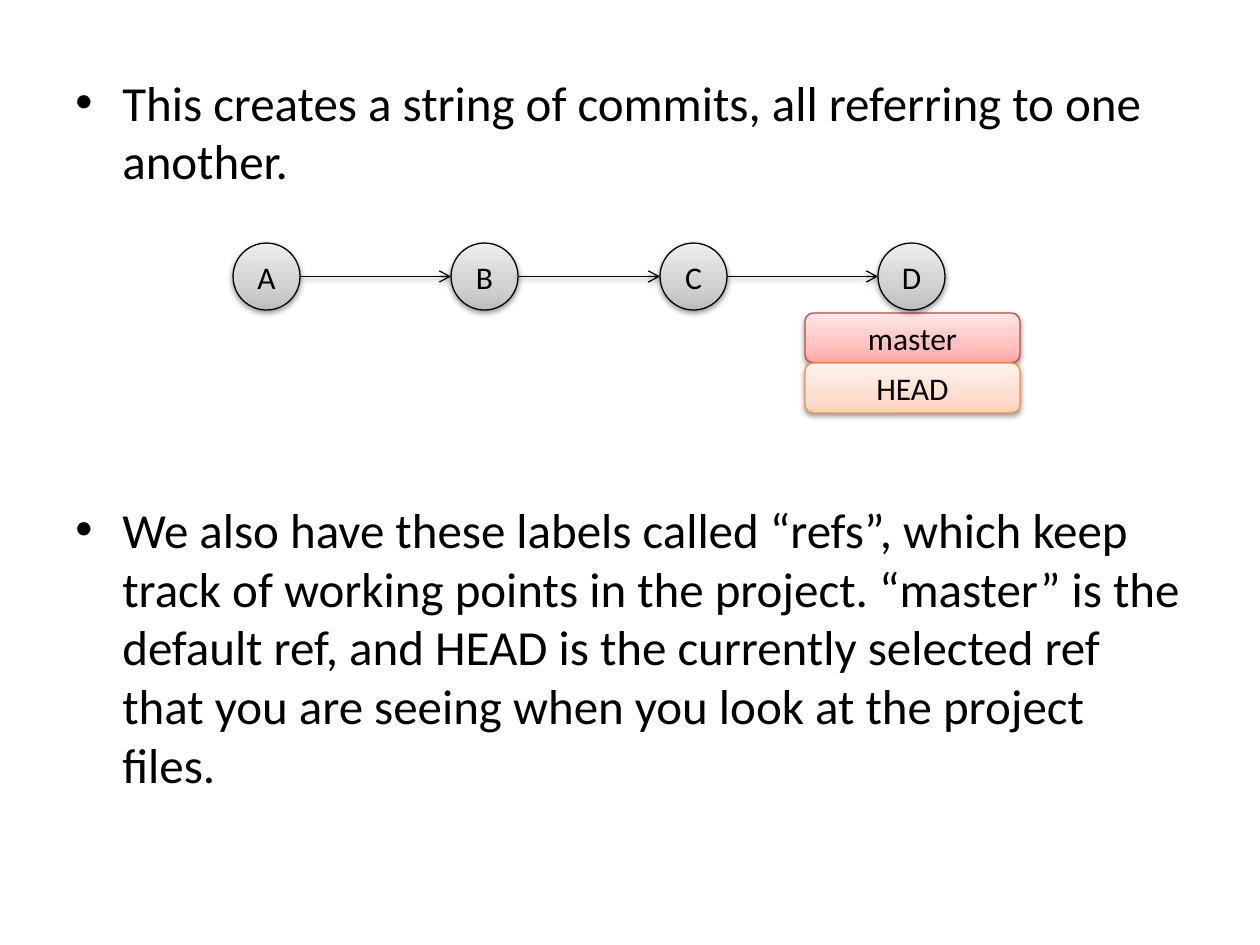
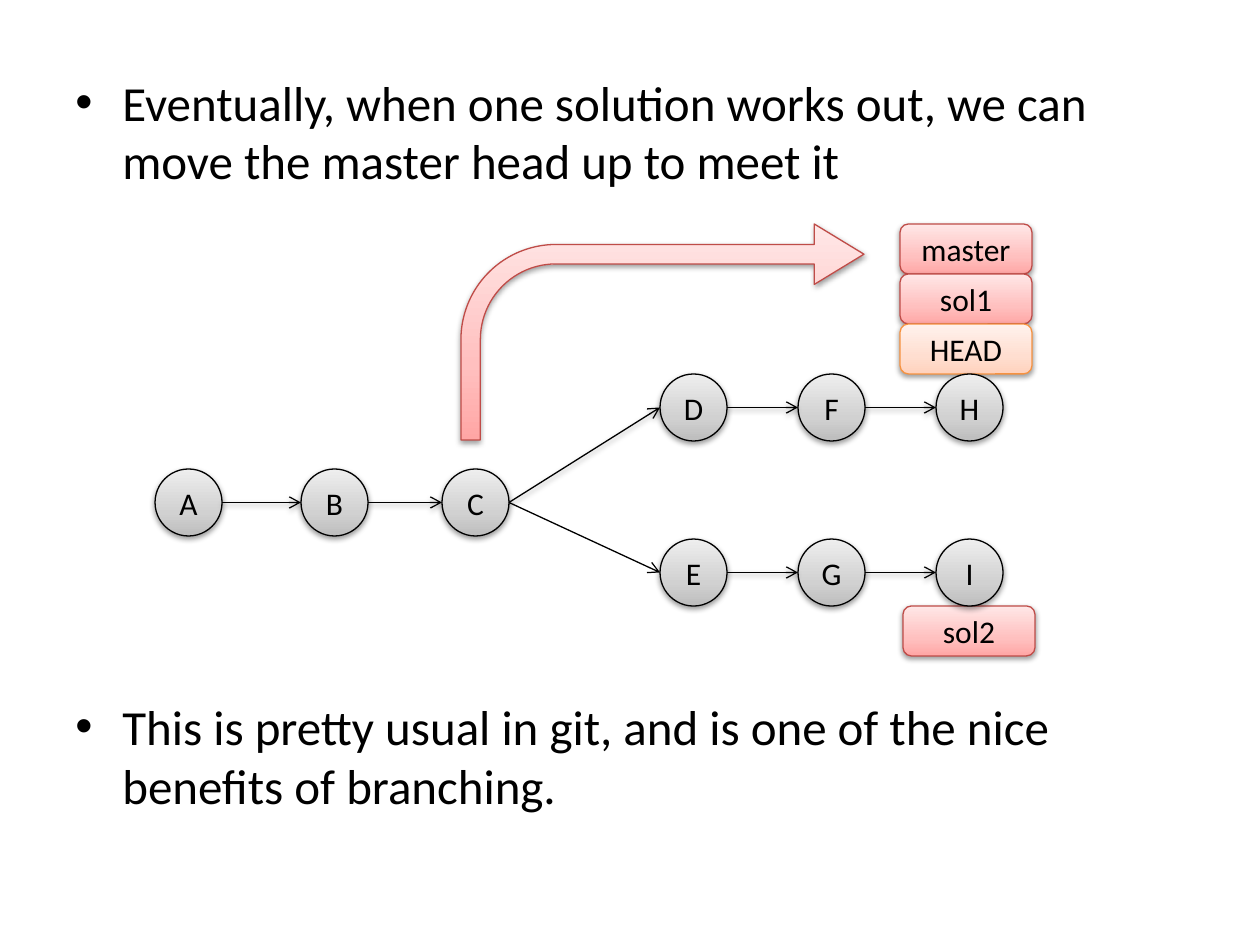
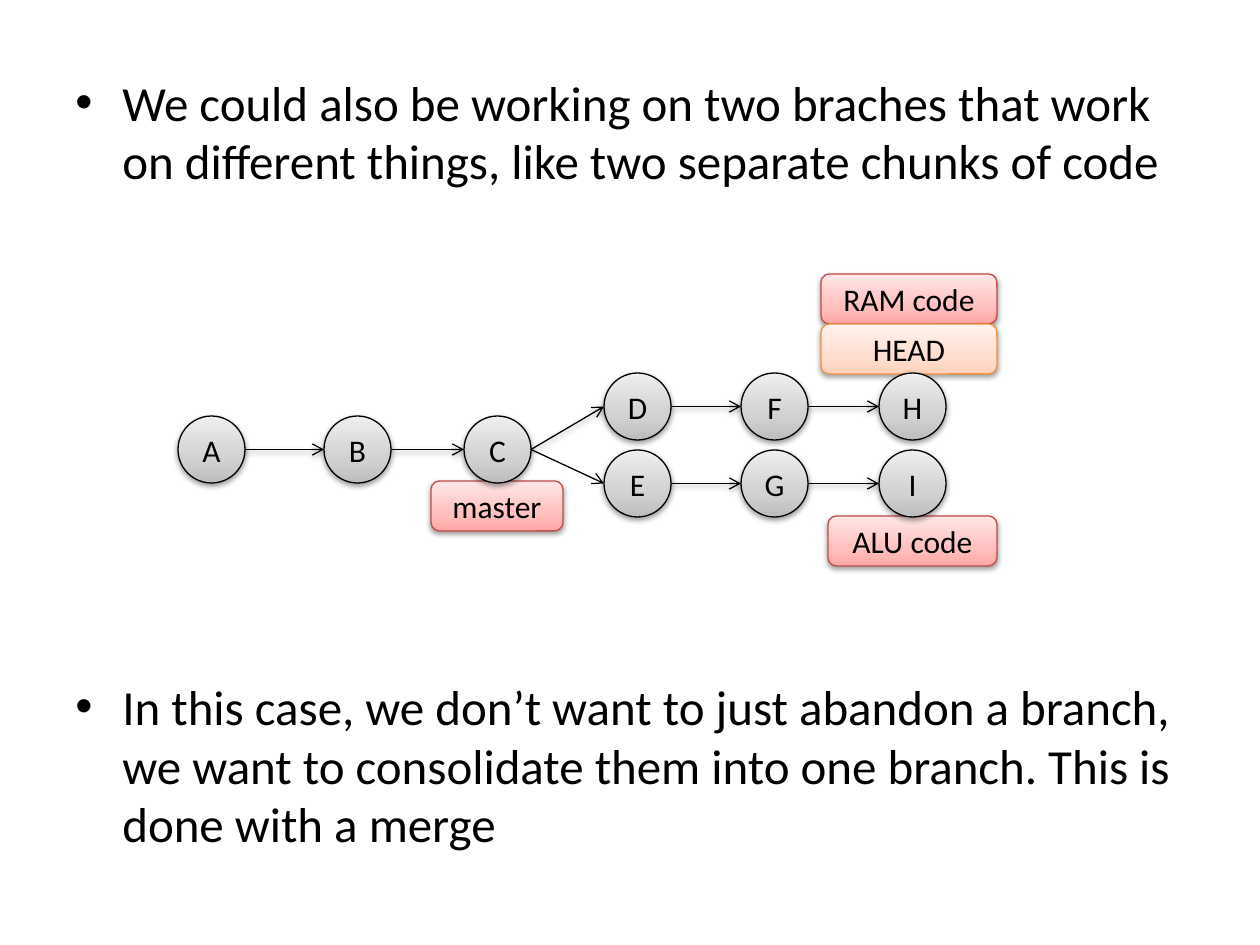
from copy import deepcopy
from dataclasses import dataclass
from itertools import pairwise

from lxml import etree
from pptx import Presentation
from pptx.dml.color import RGBColor
from pptx.enum.shapes import MSO_CONNECTOR, MSO_SHAPE
from pptx.enum.text import MSO_ANCHOR, PP_ALIGN
from pptx.oxml.ns import qn
from pptx.util import Emu, Pt

STRAIGHT = MSO_CONNECTOR.STRAIGHT
ELLIPSE = MSO_SHAPE.OVAL
ROUNDED = MSO_SHAPE.ROUNDED_RECTANGLE
BENT_ARROW = MSO_SHAPE.BENT_ARROW
MIDDLE = MSO_ANCHOR.MIDDLE
CENTER = PP_ALIGN.CENTER

PX_PER_INCH = 126
FONT = "Calibri"
BODY_SIZE = 28
LABEL_SIZE = 18
LINE_WIDTH = Pt(0.75)
NODE_SIZE = 67
REF_HEIGHT = 50
TEXT_LEFT, TEXT_TOP, TEXT_WIDTH, TEXT_HEIGHT = 63, 66, 1134, 139
BULLET_INDENT = 47
STOP_POSITIONS = (0, 0.35, 1)

COLORS = {
    "ink": "000000",
    "commit_dark": "BDBDBD",
    "commit_mid": "D1D1D1",
    "commit_light": "EEEEEE",
    "commit_line": "000000",
    "ref_dark": "FFA6A5",
    "ref_mid": "FFC0BF",
    "ref_light": "FFE7E7",
    "ref_line": "BF4C48",
    "head_dark": "FFD2BD",
    "head_mid": "FFDED0",
    "head_light": "FFF2ED",
    "head_line": "F69240",
}


@dataclass(frozen=True)
class Bullet:
    text: str
    top: int = TEXT_TOP
    height: int = TEXT_HEIGHT


@dataclass(frozen=True)
class Branch:
    commits: str
    lefts: tuple[int, ...]
    top: int

    @property
    def middle(self) -> float:
        return self.top + NODE_SIZE / 2


@dataclass(frozen=True)
class RefStack:
    names: tuple[str, ...]
    left: int
    top: int
    width: int = 132


@dataclass(frozen=True)
class Move:
    left: int
    top: int
    width: int
    height: int
    adjustments: tuple[float, ...]


@dataclass(frozen=True)
class GitPage:
    intro: Bullet
    outro: Bullet
    trunk: Branch
    refs: tuple[RefStack, ...]
    forks: tuple[Branch, ...] = ()
    moves: tuple[Move, ...] = ()


PAGES = (
    GitPage(
        intro=Bullet("This creates a string of commits, all referring to one another."),
        outro=Bullet(
            "We also have these labels called “refs”, which keep track of working "
            "points in the project. “master” is the default ref, and HEAD is the "
            "currently selected ref that you are seeing when you look at the "
            "project files.",
            493,
            387,
        ),
        trunk=Branch("ABCD", (233, 451, 660, 878), 243),
        refs=(RefStack(("master", "HEAD"), 805, 313, 215),),
    ),
    GitPage(
        intro=Bullet(
            "Eventually, when one solution works out, we can move the master head "
            "up to meet it"
        ),
        outro=Bullet(
            "This is pretty usual in git, and is one of the nice benefits of branching.",
            690,
            218,
        ),
        trunk=Branch("ABC", (155, 301, 442), 469),
        forks=(
            Branch("DFH", (660, 798, 936), 374),
            Branch("EGI", (660, 798, 936), 539),
        ),
        refs=(
            RefStack(("master", "sol1", "HEAD"), 900, 224),
            RefStack(("sol2",), 903, 606),
        ),
        moves=(Move(461, 224, 403, 216, (0.09, 0.14, 0.23, 0.44)),),
    ),
    GitPage(
        intro=Bullet(
            "We could also be working on two braches that work on different things, "
            "like two separate chunks of code"
        ),
        outro=Bullet(
            "In this case, we don’t want to just abandon a branch, we want to "
            "consolidate them into one branch. This is done with a merge",
            670,
            218,
        ),
        trunk=Branch("ABC", (178, 324, 464), 416),
        forks=(
            Branch("DFH", (604, 741, 879), 373),
            Branch("EGI", (604, 741, 879), 450),
        ),
        refs=(
            RefStack(("RAM code", "HEAD"), 821, 274, 176),
            RefStack(("ALU code",), 828, 516, 169),
            RefStack(("master",), 431, 481),
        ),
    ),
)


def px(length: float) -> Emu:
    return Emu(round(length * 914400 / PX_PER_INCH))


def rgb(name: str) -> RGBColor:
    return RGBColor.from_string(COLORS[name])


def add_span(para, text: str, size: int) -> None:
    span = para.add_run()
    span.text = text
    span.font.name = FONT
    span.font.size = Pt(size)
    span.font.color.rgb = rgb("ink")


def set_line(shape, color: str) -> None:
    shape.line.color.rgb = rgb(color)
    shape.line.width = LINE_WIDTH


def add_shadow(effects) -> None:
    shadow = etree.SubElement(
        effects, qn("a:outerShdw"), blurRad="40000", dist="20000",
        dir="5400000", rotWithShape="0",
    )
    color = etree.SubElement(shadow, qn("a:srgbClr"), val=COLORS["ink"])
    etree.SubElement(color, qn("a:alpha"), val="38000")


def add_solid(page, kind, bounds: tuple[int, ...], theme: str, text: str = ""):
    shape = page.shapes.add_shape(kind, *map(px, bounds))
    shape.fill.gradient()
    shape.fill.gradient_angle = 90
    stops = shape._element.spPr.find(f".//{qn('a:gsLst')}")
    stops.append(deepcopy(stops[0]))
    for stop, position, tone in zip(
        shape.fill.gradient_stops, STOP_POSITIONS, ("dark", "mid", "light")
    ):
        stop.position = position
        stop.color.rgb = rgb(f"{theme}_{tone}")
    set_line(shape, f"{theme}_line")
    shape.shadow.inherit = False
    add_shadow(shape._element.spPr.find(qn("a:effectLst")))
    if text:
        shape.text_frame.vertical_anchor = MIDDLE
        para = shape.text_frame.paragraphs[0]
        para.alignment = CENTER
        add_span(para, text, LABEL_SIZE)
    return shape


def add_link(page, start: tuple[float, float], end: tuple[float, float],
             shadowed: bool = True) -> None:
    link = page.shapes.add_connector(STRAIGHT, *map(px, start + end))
    set_line(link, "ink")
    etree.SubElement(link.line._get_or_add_ln(), qn("a:tailEnd"), type="arrow")
    effects = etree.SubElement(link._element.spPr, qn("a:effectLst"))
    if shadowed:
        add_shadow(effects)


def add_bullet(page, bullet: Bullet) -> None:
    box = page.shapes.add_textbox(
        px(TEXT_LEFT), px(bullet.top), px(TEXT_WIDTH), px(bullet.height)
    )
    box.text_frame.word_wrap = True
    para = box.text_frame.paragraphs[0]
    para.space_before = Pt(BODY_SIZE * 0.2)
    properties = para._p.get_or_add_pPr()
    properties.set("marL", str(px(BULLET_INDENT)))
    properties.set("indent", str(-px(BULLET_INDENT)))
    etree.SubElement(properties, qn("a:buFont"), typeface="Arial")
    etree.SubElement(properties, qn("a:buChar"), char="•")
    add_span(para, bullet.text, BODY_SIZE)


def add_branch(page, branch: Branch) -> None:
    for commit, left in zip(branch.commits, branch.lefts):
        bounds = (left, branch.top, NODE_SIZE, NODE_SIZE)
        add_solid(page, ELLIPSE, bounds, "commit", commit)
    for left, following in pairwise(branch.lefts):
        add_link(page, (left + NODE_SIZE, branch.middle), (following, branch.middle))


def add_forks(page, trunk: Branch, forks: tuple[Branch, ...]) -> None:
    start = (trunk.lefts[-1] + NODE_SIZE, trunk.middle)
    for fork in forks:
        rises = fork.top < trunk.top
        add_link(page, start, (fork.lefts[0], fork.middle), shadowed=rises)


def add_refs(page, stack: RefStack) -> None:
    for row, name in enumerate(stack.names):
        top = stack.top + row * REF_HEIGHT
        theme = "head" if name == "HEAD" else "ref"
        add_solid(page, ROUNDED, (stack.left, top, stack.width, REF_HEIGHT), theme, name)


def add_move(page, move: Move) -> None:
    bounds = (move.left, move.top, move.width, move.height)
    arrow = add_solid(page, BENT_ARROW, bounds, "ref")
    for index, value in enumerate(move.adjustments):
        arrow.adjustments[index] = value


def add_git_page(deck, content: GitPage) -> None:
    page = deck.slides.add_slide(deck.slide_layouts[6])
    add_bullet(page, content.intro)
    for stack in content.refs:
        add_refs(page, stack)
    for branch in (content.trunk, *content.forks):
        add_branch(page, branch)
    add_forks(page, content.trunk, content.forks)
    add_bullet(page, content.outro)
    for move in content.moves:
        add_move(page, move)


def main() -> None:
    deck = Presentation()
    deck.slide_width = px(1260)
    deck.slide_height = px(945)
    for content in PAGES:
        add_git_page(deck, content)
    deck.save("out.pptx")


if __name__ == "__main__":
    main()
